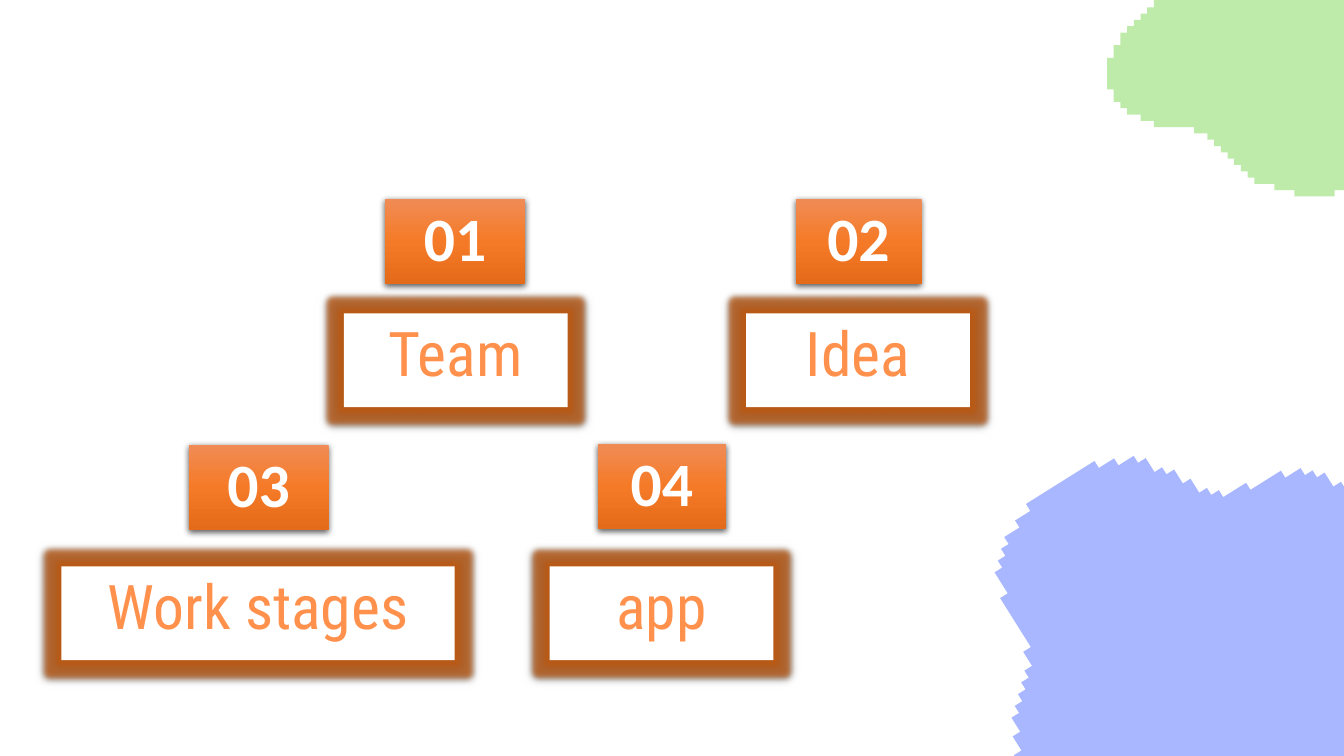
from lxml import etree
from pptx import Presentation
from pptx.dml.color import RGBColor
from pptx.enum.shapes import MSO_SHAPE
from pptx.enum.text import MSO_ANCHOR, PP_ALIGN
from pptx.oxml.ns import qn
from pptx.util import Emu, Pt

RECTANGLE = MSO_SHAPE.RECTANGLE
CENTER = PP_ALIGN.CENTER
TOP, MIDDLE = MSO_ANCHOR.TOP, MSO_ANCHOR.MIDDLE
PX = 9144
BLOB_CELLS = 47
BLOB_START = 16
BADGE_STOPS = ((0, "F08C56"), (50, "F57A27"), (100, "E46B19"))

BLOB_STEPS = (
    (9, 1), (2, 1), (2, 1), (1, 2), (1, 1), (1, 2), (1, 2), (1, 1), (1, 1),
    (3, 1), (4, 1), (2, 1), (1, 1), (1, 2), (1, 7),
    (-1, 2), (-1, 1), (-1, 1), (-1, 2), (-1, 6), (-1, 3), (-1, 2), (-1, 1),
    (-1, 1), (-1, 1), (-1, 1), (-2, 1),
    (-6, -1), (-3, -1), (-3, -1), *[(-1, -1)] * 7, (-2, -1), (-6, -1),
    (-2, -1), (-2, -1), (-1, -1), (-1, -2), (-1, -5),
    (1, -2), (1, -2), *[(1, -1)] * 4, (1, -2), (1, -7), (1, -3),
    *[(1, -1)] * 3, (2, -1), (2, -1),
)

TOPICS = (
    ("01", (382, 197, 139, 85), "Team", (341, 311, 222, 93)),
    ("02", (789, 197, 125, 85), "Idea", (740, 311, 222, 93)),
    ("03", (187, 441, 139, 85), "Work stages", (61, 562, 390, 93)),
    ("04", (593, 440, 127, 85), "app", (545, 562, 222, 93)),
)


def px(length):
    """Turn px into EMU."""
    return Emu(round(length * PX))


def rgb(hex_color):
    """Turn a hex string into a colour."""
    return RGBColor.from_string(hex_color)


def add_color(parent, hex_color, alpha=100):
    """Append a colour with an opacity in percent to an XML element."""
    color = etree.SubElement(parent, qn("a:srgbClr"), val=hex_color)
    if alpha < 100:
        etree.SubElement(color, qn("a:alpha"), val=str(alpha * 1000))


def add_effects(shape, glow=None):
    """Give a shape its soft drop shadow and, if asked, a glow."""
    shape.shadow.inherit = False
    effects = shape._element.spPr.find(qn("a:effectLst"))
    if glow:
        halo = etree.SubElement(effects, qn("a:glow"), rad=str(Pt(8)))
        add_color(halo, glow, 75)
    drop = etree.SubElement(effects, qn("a:outerShdw"), blurRad=str(Pt(4.5)),
                            dist=str(Pt(1.5)), dir="5400000", rotWithShape="0")
    add_color(drop, "000000", 63)


def write_text(shape, text, font, color, bold=False, anchor=MIDDLE):
    """Write one centred line into a shape."""
    frame = shape.text_frame
    frame.word_wrap = True
    frame.vertical_anchor = anchor
    frame.margin_left = frame.margin_right = px(10)
    frame.margin_top = frame.margin_bottom = px(10)
    line = frame.paragraphs[0]
    line.alignment = CENTER
    line.line_spacing = 0.9
    run = line.add_run()
    run.text = text
    run.font.name = font
    run.font.size = Pt(44)
    run.font.bold = bold
    run.font.color.rgb = rgb(color)


def add_box(slide, bounds):
    """Add a rectangle without an outline."""
    box = slide.shapes.add_shape(RECTANGLE, *map(px, bounds))
    box.line.fill.background()
    return box


def add_badge(slide, number, bounds):
    """Add an orange gradient badge with a number."""
    badge = add_box(slide, bounds)
    badge.fill.gradient()
    badge.fill.gradient_angle = 270
    stops = badge._element.spPr.find(".//" + qn("a:gsLst"))
    stops.clear()
    for position, color in BADGE_STOPS:
        stop = etree.SubElement(stops, qn("a:gs"), pos=str(position * 1000))
        add_color(stop, color)
    add_effects(badge)
    write_text(badge, number, "Calibri", "FFFFFF", bold=True)


def add_topic(slide, topic, bounds):
    """Add a white glowing box with a topic name."""
    panel = add_box(slide, bounds)
    panel.fill.solid()
    panel.fill.fore_color.rgb = rgb("FFFFFF")
    add_effects(panel, glow="BF5A12")
    write_text(panel, topic, "Roboto Condensed", "FF914D", anchor=TOP)


def add_blob(slide, bounds, color, rotation=0):
    """Add a half-transparent blob with a stepped edge."""
    left, top, width, height = bounds
    cell = (width * PX / BLOB_CELLS, height * PX / BLOB_CELLS)
    column, row = BLOB_START, 0
    outline = slide.shapes.build_freeform(column, row, scale=cell)
    corners = []
    for across, down in BLOB_STEPS:
        column += across
        corners.append((column, row))
        row += down
        corners.append((column, row))
    outline.add_line_segments(corners, close=True)
    blob = outline.convert_to_shape(px(left), px(top))
    blob.rotation = rotation
    blob.shadow.inherit = False
    blob.line.fill.background()
    blob.fill.solid()
    blob.fill.fore_color.rgb = rgb(color)
    tint = blob._element.spPr.find(qn("a:solidFill")).find(qn("a:srgbClr"))
    etree.SubElement(tint, qn("a:alpha"), val="50000")


def main():
    """Build the contents slide and save it."""
    deck = Presentation()
    deck.slide_width, deck.slide_height = px(1333), px(750)
    slide = deck.slides.add_slide(deck.slide_layouts[6])
    for number, badge_bounds, topic, topic_bounds in TOPICS:
        add_badge(slide, number, badge_bounds)
        add_topic(slide, topic, topic_bounds)
    add_blob(slide, (1098, -99, 312, 294), "7ED957")
    add_blob(slide, (967, 435, 419, 385), "5271FF", rotation=327.9)
    deck.save("out.pptx")


if __name__ == "__main__":
    main()
